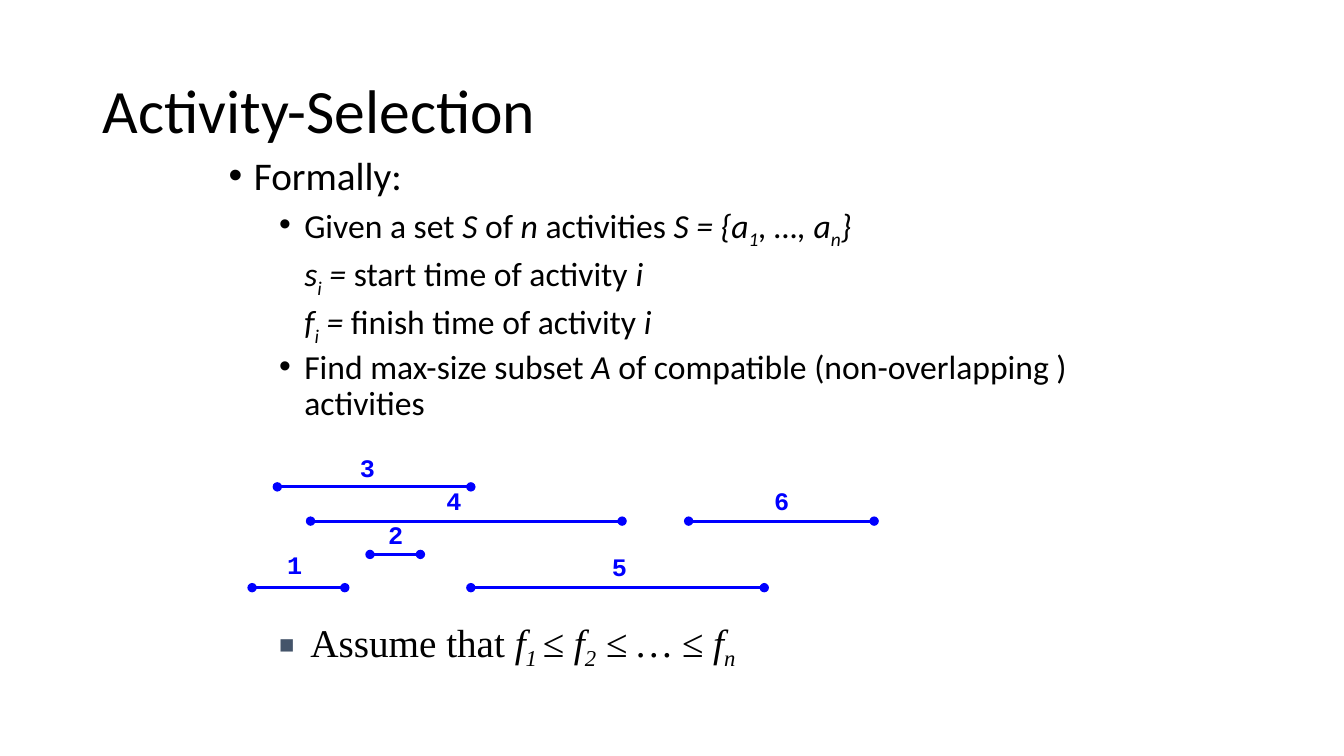
from lxml import etree
from pptx import Presentation
from pptx import util as u
from pptx.dml.color import RGBColor
from pptx.enum import shapes, text
from pptx.oxml import ns

BLACK, BLUE, SLATE = "000000", "0000FF", "44546A"


def color(value):
    return RGBColor.from_string(value)


def add_element(parent, tag, **attributes):
    return etree.SubElement(parent, ns.qn(tag), attributes)


def add_text(paragraph, content, size, font, fill=BLACK, bold=False, italic=False, subscript=False):
    run = paragraph.add_run()
    run.text = content
    run.font.size = u.Pt(size)
    run.font.name = font
    run.font.color.rgb = color(fill)
    run.font.bold = bold
    run.font.italic = italic
    if subscript:
        run._r.get_or_add_rPr().set("baseline", "-25000")


class ActivitySlide:
    styles = {"": {}, "i": {"italic": True}, "sub": {"italic": True, "subscript": True}}

    def __init__(self, presentation):
        self.slide = presentation.slides.add_slide(presentation.slide_layouts[6])

    def box(self, left, top, width, height, wrap=True, anchor=text.MSO_ANCHOR.TOP):
        shape = self.slide.shapes.add_textbox(
            u.Inches(left), u.Inches(top), u.Inches(width), u.Inches(height))
        frame = shape.text_frame
        frame.word_wrap = wrap
        frame.vertical_anchor = anchor
        return frame

    def paragraph(self, frame, runs, size, font, margin=0, indent=0, bullet=None,
                  bullet_color=None, bullet_size=None, spacing=0.9, before=0, level=0):
        first = not frame.paragraphs[0].runs
        paragraph = frame.paragraphs[0] if first else frame.add_paragraph()
        properties = paragraph._p.get_or_add_pPr()
        properties.set("marL", str(u.Inches(margin)))
        properties.set("indent", str(u.Inches(indent)))
        if bullet_color:
            add_element(add_element(properties, "a:buClr"), "a:srgbClr", val=bullet_color)
        if bullet_size:
            add_element(properties, "a:buSzPct", val=str(bullet_size * 1000))
        if bullet:
            add_element(properties, "a:buFont", typeface="Arial")
            add_element(properties, "a:buChar", char=bullet)
        else:
            add_element(properties, "a:buNone")
        paragraph.level = level
        paragraph.line_spacing = spacing
        paragraph.space_before = u.Pt(0 if first else before)
        for content, style in runs:
            add_text(paragraph, content, size, font, **self.styles[style])

    def interval(self, start, finish, y):
        line = self.slide.shapes.add_connector(
            shapes.MSO_CONNECTOR.STRAIGHT,
            u.Inches(start), u.Inches(y), u.Inches(finish), u.Inches(y))
        line.line.color.rgb = color(BLUE)
        line.line.width = u.Pt(2.25)
        outline = line.line._get_or_add_ln()
        add_element(outline, "a:headEnd", type="oval")
        add_element(outline, "a:tailEnd", type="oval")
        add_element(line._element.spPr, "a:effectLst")

    def label(self, content, left, top):
        frame = self.box(left, top, 0.35, 0.4, wrap=False)
        frame.auto_size = text.MSO_AUTO_SIZE.SHAPE_TO_FIT_TEXT
        add_text(frame.paragraphs[0], content, 18, "Courier New", BLUE, bold=True)


def main():
    presentation = Presentation()
    presentation.slide_width = u.Inches(13.33)
    presentation.slide_height = u.Inches(7.5)
    page = ActivitySlide(presentation)

    title = page.box(0.92, 0.4, 11.5, 1.45, anchor=text.MSO_ANCHOR.MIDDLE)
    page.paragraph(title, [("Activity-Selection", "")], 44, "Calibri")

    body = page.box(2.17, 1.5, 9, 3)
    page.paragraph(body, [("Formally:", "")], 28, "Calibri", 0.25, -0.25, "•")
    points = [
        ("•", [("Given a set ", ""), ("S", "i"), (" of ", ""), ("n", "i"), (" activities ", ""),
               ("S = {a", "i"), ("1", "sub"), (", …, a", "i"), ("n", "sub"), ("}", "i")]),
        (None, [("s", "i"), ("i", "sub"), (" = ", "i"), ("start time of activity ", ""), ("i", "i")]),
        (None, [("f", "i"), ("i", "sub"), (" = ", "i"), ("finish time of activity ", ""), ("i", "i")]),
        ("•", [("Find max-size subset ", ""), ("A", "i"),
               (" of compatible (non-overlapping ) activities", "")]),
    ]
    for bullet, runs in points:
        page.paragraph(body, runs, 24, "Calibri", 0.75, -0.25 if bullet else 0, bullet,
                       before=5, level=1)

    activities = [
        ("1", 2.5, 3.42, 5.83, 2.75, 5.4),
        ("2", 3.67, 4.17, 5.5, 3.75, 5.1),
        ("3", 2.75, 4.67, 4.83, 3.47, 4.44),
        ("4", 3.08, 6.17, 5.17, 4.33, 4.77),
        ("5", 4.67, 7.58, 5.83, 5.97, 5.42),
        ("6", 6.83, 8.67, 5.17, 7.58, 4.77),
    ]
    for number, start, finish, y, label_left, label_top in activities:
        page.interval(start, finish, y)
        page.label(number, label_left, label_top)

    assumption = page.box(2.17, 6.08, 9, 1.08)
    order = [("Assume that ", ""), ("f", "i"), ("1 ", "sub"), ("≤ f", "i"), ("2", "sub"),
             (" ≤ … ≤ f", "i"), ("n", "sub")]
    page.paragraph(assumption, order, 28, "Times New Roman", 0.81, -0.31, "■",
                   SLATE, 65, spacing=1.0, level=1)

    presentation.save("out.pptx")


if __name__ == "__main__":
    main()
